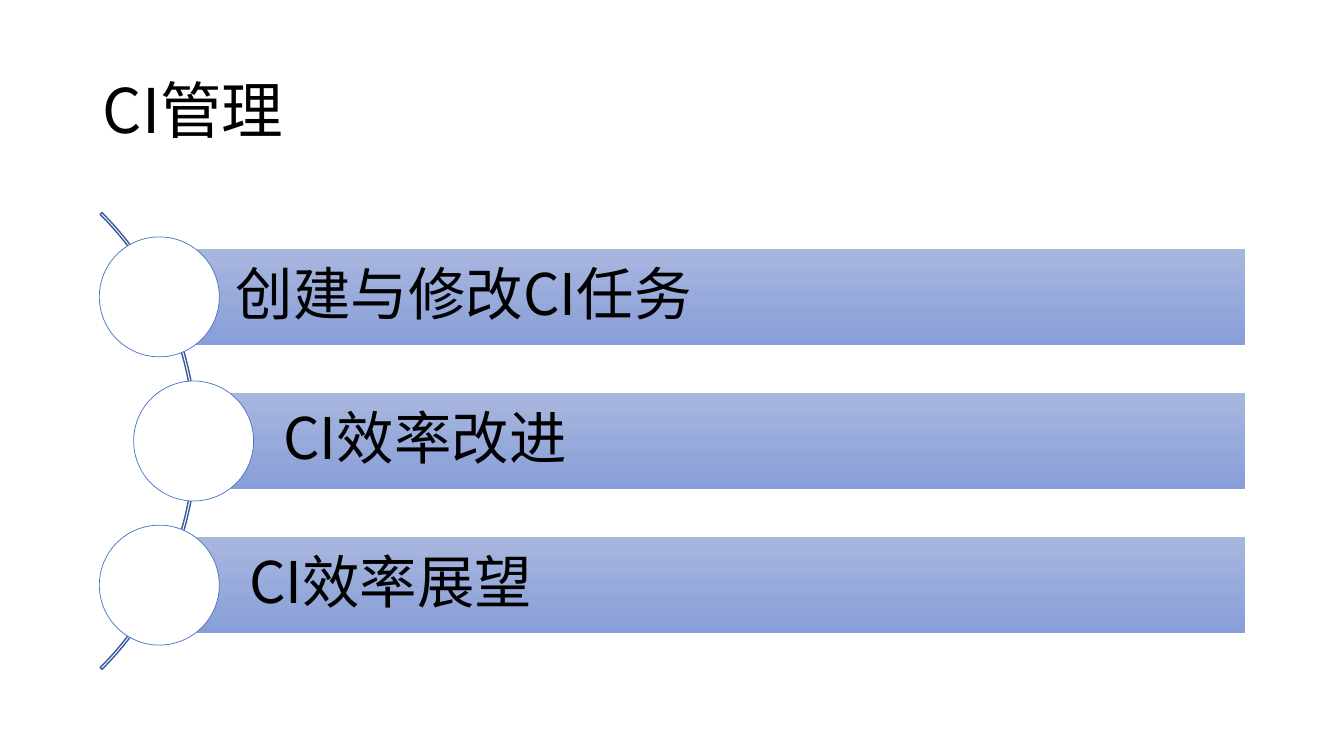
from lxml import etree
from pptx import Presentation
from pptx.dml.color import RGBColor
from pptx.enum.shapes import MSO_SHAPE as Shape
from pptx.enum.text import MSO_ANCHOR as Anchor, MSO_AUTO_SIZE as AutoSize, PP_ALIGN as Align
from pptx.oxml.ns import qn
from pptx.util import Inches, Pt

FONT = "Noto Sans CJK SC"
TOPICS = ["创建与修改CI任务", "CI效率改进", "CI效率展望"]
BAR_HEIGHT, CIRCLE_SIZE, ROW_STEP = 0.95, 1.19, 1.43


def color(value):
    return RGBColor.from_string(value)


def write_text(shape, text, size, left=0.1, inset=0.05):
    frame = shape.text_frame
    frame.word_wrap = True
    frame.auto_size = AutoSize.NONE
    frame.vertical_anchor = Anchor.MIDDLE
    frame.margin_left = Inches(left)
    frame.margin_top = frame.margin_bottom = Inches(inset)
    paragraph = frame.paragraphs[0]
    paragraph.alignment = Align.LEFT
    paragraph.line_spacing = 0.9
    run = paragraph.add_run()
    run.text = text
    run.font.size = Pt(size)
    run.font.name = FONT
    run.font.color.rgb = color("000000")
    # East Asian characters take their own typeface element
    etree.SubElement(run.font._element, qn("a:ea"), typeface=FONT)


def add_preset(slide, kind, left, top, width, height, fill=None, line=None, weight=1):
    shape = slide.shapes.add_shape(
        kind, Inches(left), Inches(top), Inches(width), Inches(height))
    shape.shadow.inherit = False
    if fill:
        shape.fill.solid()
        shape.fill.fore_color.rgb = color(fill)
    else:
        shape.fill.background()
    if line:
        shape.line.color.rgb = color(line)
        shape.line.width = Pt(weight)
    else:
        shape.line.fill.background()
    return shape


def add_title(slide, text, left, top, width, height):
    title = slide.shapes.title
    title.left, title.top = Inches(left), Inches(top)
    title.width, title.height = Inches(width), Inches(height)
    write_text(title, text, 44)


def add_topic(slide, text, left, center, right, indent):
    # Gradient bar with the topic
    bar = add_preset(slide, Shape.RECTANGLE, left, center - BAR_HEIGHT / 2,
                     right - left, BAR_HEIGHT)
    bar.fill.gradient()
    bar.fill.gradient_angle = 270
    for stop, position, shade in zip(bar.fill.gradient_stops, (0, 1), ("A8B7DF", "889ED7")):
        stop.position = position
        stop.color.rgb = color(shade)
    write_text(bar, text, 41, left=indent, inset=0.11)
    # Circle over the start of the bar
    radius = CIRCLE_SIZE / 2
    add_preset(slide, Shape.OVAL, left - radius, center - radius,
               CIRCLE_SIZE, CIRCLE_SIZE, "FFFFFF", "4472C4", 0.5)


def add_topic_list(slide, left, top, width, height):
    middle = top + height / 2
    # Arc running behind the circles
    diameter = 6.41
    arc = add_preset(slide, Shape.BLOCK_ARC, left + 1.03 - diameter, middle - diameter / 2,
                     diameter, diameter, line="365B9D")
    for index, value in enumerate((189, 27, 0.004)):
        arc.adjustments[index] = value
    # Rows, the middle one pushed out along the arc
    for row, text in enumerate(TOPICS):
        start = left + (1 if row == 1 else 0.66)
        indent = 0.89 if text.startswith("CI") else 0.76
        add_topic(slide, text, start, middle + (row - 1) * ROW_STEP, left + width, indent)


def main():
    presentation = Presentation()
    presentation.slide_width, presentation.slide_height = Inches(13.33), Inches(7.5)
    slide = presentation.slides.add_slide(presentation.slide_layouts[5])
    add_title(slide, "CI管理", 0.92, 0.4, 11.5, 1.45)
    add_topic_list(slide, 0.92, 2, 11.43, 4.75)
    presentation.save("out.pptx")


if __name__ == "__main__":
    main()
